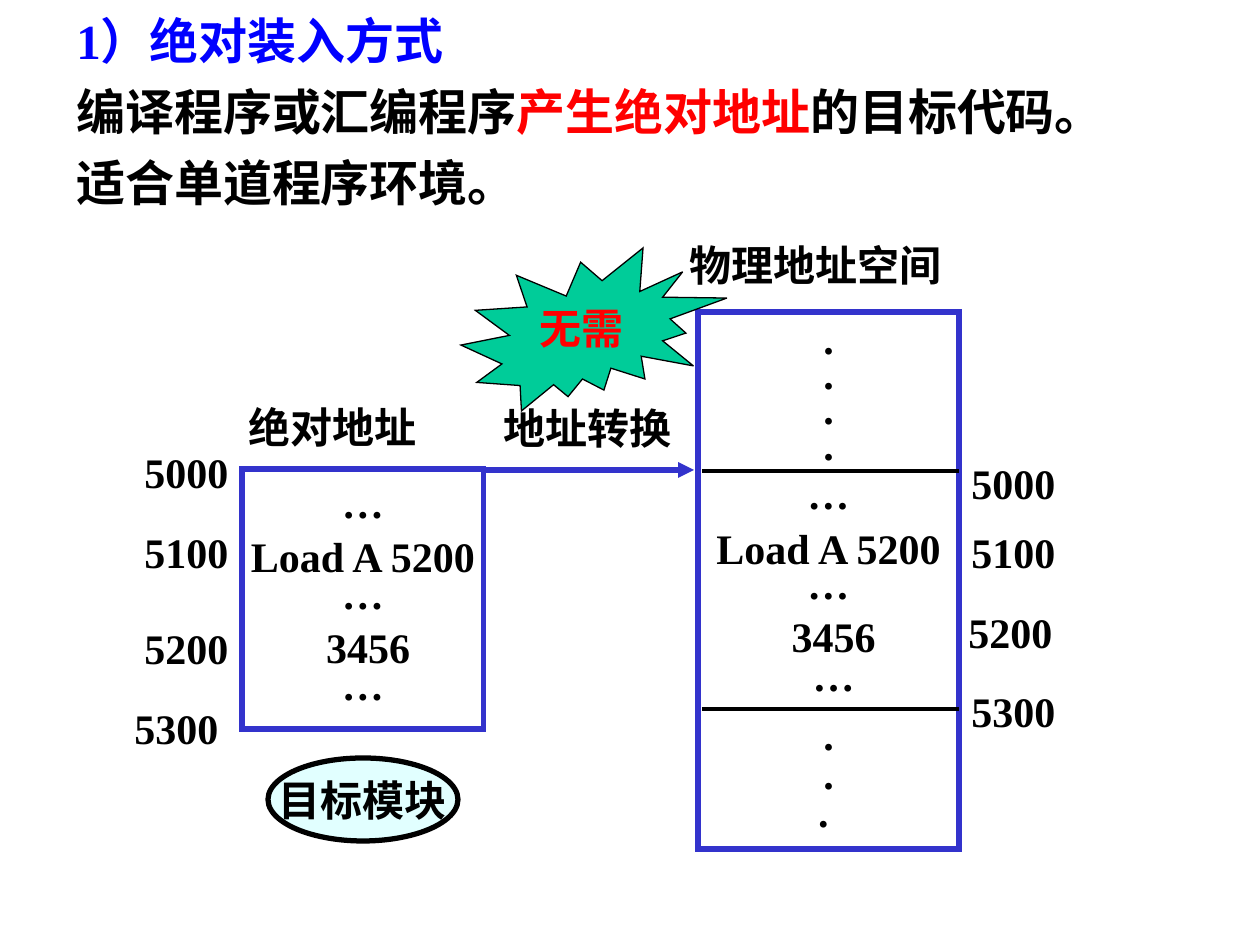
from lxml import etree
from pptx import Presentation
from pptx.dml.color import RGBColor
from pptx.enum import shapes, text
from pptx.oxml import ns
from pptx.util import Pt

COLORS = {"ink": "000000", "title": "0000FF", "accent": "FF0000",
          "frame": "3333CC", "seal": "00CC99", "oval": "E1FFFF"}
LABEL_WIDTH, LABEL_HEIGHT = 114, 63


def px(count):
    return round(count * 914400 / 126)


def color(name):
    return RGBColor.from_string(COLORS[name])


def write(frame, content, first=True, size=24, ink="ink", font="Times New Roman",
          spacing=None, before=0, align=text.PP_ALIGN.LEFT):
    para = frame.paragraphs[0] if first else frame.add_paragraph()
    para.alignment = align
    para.space_before = Pt(before)
    if spacing:
        para.line_spacing = spacing
    spans = [(content, ink)] if isinstance(content, str) else content
    for words, shade in spans:
        span = para.add_run()
        span.text = words
        span.font.size = Pt(size)
        span.font.bold = True
        span.font.name = font
        span.font.color.rgb = color(shade)


def add_box(page, left, top, width, height):
    box = page.shapes.add_textbox(px(left), px(top), px(width), px(height))
    frame = box.text_frame
    frame.word_wrap = True
    frame.auto_size = text.MSO_AUTO_SIZE.SHAPE_TO_FIT_TEXT
    return frame


def add_label(page, left, top, words, width=LABEL_WIDTH):
    write(add_box(page, left, top, width, LABEL_HEIGHT), words)


def add_figure(page, kind, left, top, width, height, fill=None, line="ink",
               weight=3, wrap=False, anchor=text.MSO_ANCHOR.MIDDLE):
    figure = page.shapes.add_shape(kind, px(left), px(top), px(width), px(height))
    figure.shadow.inherit = False
    if fill:
        figure.fill.solid()
        figure.fill.fore_color.rgb = color(fill)
    else:
        figure.fill.background()
    figure.line.color.rgb = color(line)
    figure.line.width = Pt(weight)
    etree.SubElement(figure.get_or_add_ln(), ns.qn("a:miter"), lim="800000")
    figure.text_frame.word_wrap = wrap
    figure.text_frame.vertical_anchor = anchor
    return figure.text_frame


def add_line(page, left, right, y, ink="ink", weight=2.25, arrow=False):
    line = page.shapes.add_connector(shapes.MSO_CONNECTOR.STRAIGHT,
                                     px(left), px(y), px(right), px(y))
    line.line.color.rgb = color(ink)
    line.line.width = Pt(weight)
    if arrow:
        etree.SubElement(line.get_or_add_ln(), ns.qn("a:tailEnd"), type="triangle")
    etree.SubElement(line._element.spPr, ns.qn("a:effectLst"))


def add_cells(page, left, top, width, height, rows):
    frame = add_figure(page, shapes.MSO_SHAPE.RECTANGLE, left, top, width, height,
                       line="frame")
    for index, (words, spacing) in enumerate(rows):
        write(frame, words, first=index == 0, spacing=spacing,
              align=text.PP_ALIGN.CENTER)


def add_heading(page, left, top, width, height):
    frame = add_box(page, left, top, width, height)
    write(frame, "1）绝对装入方式", size=28, ink="title", spacing=0.8, before=12.2)
    sentence = [("编译程序或汇编程序", "ink"), ("产生绝对地址", "accent"),
                ("的目标代码。", "ink")]
    for content in (sentence, "适合单道程序环境。"):
        write(frame, content, first=False, size=28, before=7)


def add_conversion(page, left, top, width):
    write(add_box(page, left + 7, top - 60, width - 2, 48), "地址转换", spacing=0.7)
    add_line(page, left, left + width, top, ink="frame", weight=3, arrow=True)


def add_module(page, left, top, width, height):
    add_cells(page, left, top, width, height,
              [("…", 0.7), ("Load A 5200", 1.1), ("…", 0.7), (" 3456", 1.1), ("…", 0.7)])
    for address, x, y in (("5000", -110, -29), ("5100", -110, 51),
                          ("5200", -110, 147), ("5300", -120, 227)):
        add_label(page, left + x, top + y, address)
    add_label(page, left - 6, top - 74, "绝对地址", width=200)
    oval = add_figure(page, shapes.MSO_SHAPE.OVAL, left + 26, top + height + 29,
                      190, 83, fill="oval")
    write(oval, "目标模块", font="Roboto", before=15, align=text.PP_ALIGN.CENTER)


def add_memory(page, left, top, width, height):
    program = [("…", 1), ("Load A 5200", 1.1), ("…", 0.65), (" 3456", 1.1), (" …", 0.75)]
    add_cells(page, left, top, width, height,
              [(".", 0.7)] * 4 + program + [(".", 1.2), (".", 0.75), (". ", 0.75)])
    for address, x, y in (("5000", 0, 139), ("5100", 0, 208),
                          ("5200", -3, 288), ("5300", 0, 367)):
        add_label(page, left + width + x, top + y, address)
    add_label(page, left - 21, top - 79, "物理地址空间", width=285)
    for y in (159, 397):
        add_line(page, left + 4, left + width, top + y)


def add_seal(page, left, top, width, height):
    frame = add_figure(page, shapes.MSO_SHAPE.EXPLOSION2, left, top, width, height,
                       fill="seal", weight=0.75, wrap=True, anchor=text.MSO_ANCHOR.TOP)
    write(frame, "无需", ink="accent")


def main():
    deck = Presentation()
    deck.slide_width, deck.slide_height = px(1260), px(945)
    page = deck.slides.add_slide(deck.slide_layouts[6])
    add_heading(page, 64, 16, 1144, 202)
    add_conversion(page, 484, 470, 210)
    add_module(page, 242, 469, 242, 260)
    add_memory(page, 698, 312, 261, 537)
    add_seal(page, 461, 248, 266, 163)
    deck.save("out.pptx")


if __name__ == "__main__":
    main()
